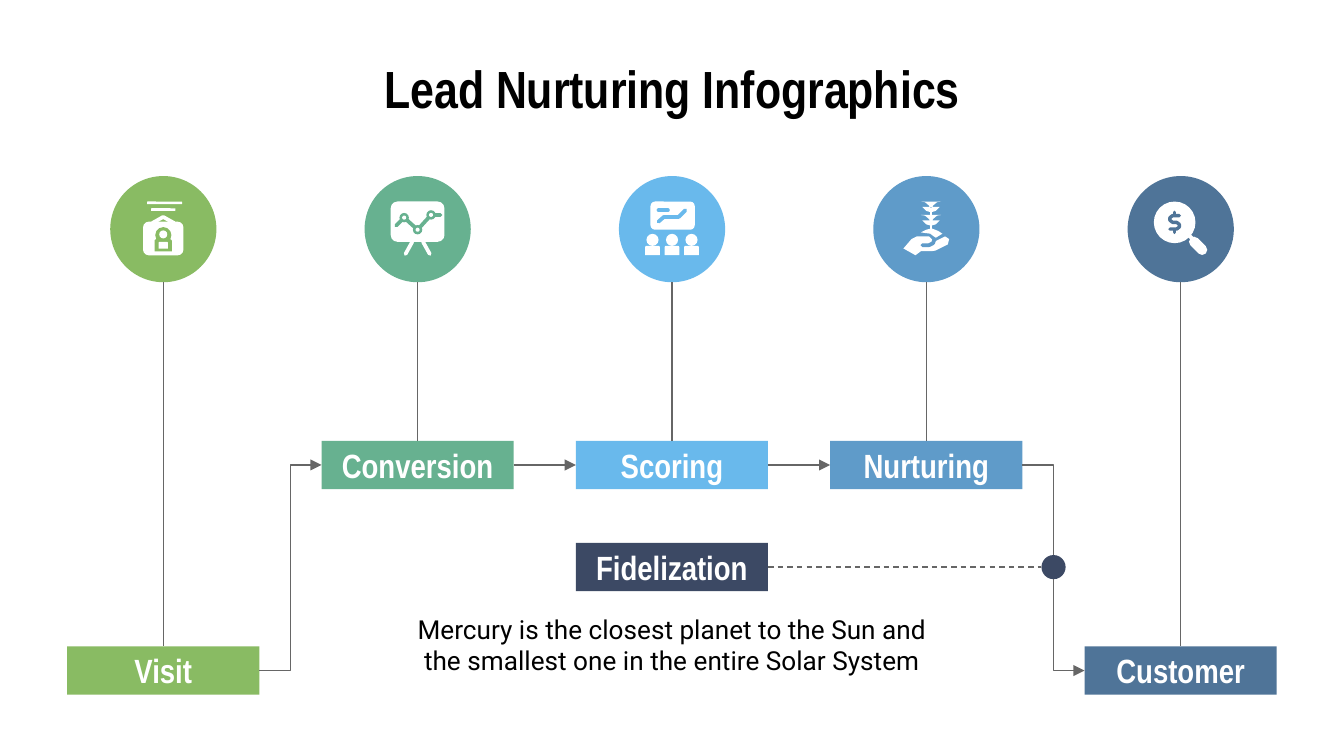
from dataclasses import dataclass

from lxml import etree
from pptx import Presentation
from pptx import util as u
from pptx.dml.color import RGBColor
from pptx.enum import dml, shapes, text
from pptx.oxml import ns

MSO = shapes.MSO_SHAPE
TOP, LEFT, BOTTOM, RIGHT = range(4)


@dataclass(frozen=True)
class Theme:
    """Colours, fonts and type sizes."""
    stages: tuple = ("89BB63", "67B190", "69B9EC", "5F9BC9", "4F7498")
    navy: str = "3C4964"
    line: str = "666666"
    white: str = "FFFFFF"
    black: str = "000000"
    head: str = "Arial Narrow"
    body: str = "Roboto"
    title_size: int = 28
    label_size: int = 18
    body_size: int = 14


@dataclass(frozen=True)
class Box:
    """A rectangle in inches."""
    x: float
    y: float
    w: float
    h: float

    def emu(self):
        """Return the four lengths for python-pptx."""
        return [u.Inches(v) for v in (self.x, self.y, self.w, self.h)]


T = Theme()
STAGES = ("Visit", "Conversion", "Scoring", "Nurturing", "Customer")
MARGIN, LABEL_W, LABEL_H, DISC, DOT = 0.5, 1.43, 0.36, 0.79, 0.18
PITCH = (10 - 2 * MARGIN - LABEL_W) / 4
ICON_ROW, FLOW_ROW, LOYAL_ROW, BASE_ROW = 1.31, 3.28, 4.04, 4.81

LEAF = ((-4, 0), (-1, 0.5), (2, 3), (3.5, 6), (3.5, 8), (0, 7), (-3, 4))
LEAF_PAIR = LEAF + tuple((7 - x, y) for x, y in reversed(LEAF))
NODES = ((-10, 12), (0, 21), (10, 10))

# Each part is kind, geometry in hundredths of an inch, then inked or cut out.
ICONS = (
    [(MSO.ROUNDED_RECTANGLE, (-12, 0, 26, 2), True),
     (MSO.ROUNDED_RECTANGLE, (-9, 5, 18, 2), True),
     (MSO.ROUNDED_RECTANGLE, (-15, 15, 30, 25), True),
     (2, ((-8, 16), (0, 11.5), (8, 16)), True),
     (MSO.OVAL, (-6, 19, 12, 12), False),
     (MSO.ROUND_2_SAME_RECTANGLE, (-6.5, 28, 13, 9), False),
     (MSO.OVAL, (-3, 21.5, 6, 6), True),
     (MSO.ROUND_2_SAME_RECTANGLE, (-3.5, 30, 7, 5), True)],
    [(MSO.ROUNDED_RECTANGLE, (-20, 0, 40, 30), True),
     *[(2, ((4 * s, 30), (9 * s, 39)), True) for s in (-1, 1)],
     (2, ((-16, 18), *NODES, (17, 10)), False),
     *[(MSO.OVAL, (x - 3.5, y - 3.5, 7, 7), False) for x, y in NODES],
     *[(MSO.OVAL, (x - 1.5, y - 1.5, 3, 3), True) for x, y in NODES]],
    [(MSO.ROUNDED_RECTANGLE, (-16, 0, 33, 21), True),
     (2, ((-10, 6.5), (-3, 6.5)), False),
     (2, ((-10, 15), (-6, 11.5), (5, 11.5), (10, 6.5)), False),
     *[(MSO.OVAL, (x - 4.5, 24, 9, 9), True) for x in (-14.5, 0, 14.5)],
     *[(MSO.ROUND_2_SAME_RECTANGLE, (x - 5.5, 33, 11, 7), True)
       for x in (-14.5, 0, 14.5)]],
    [(0, LEAF_PAIR, True),
     (0, [(x, y + 10) for x, y in LEAF_PAIR], True),
     (1.5, ((3.5, 5), (3.5, 22)), True),
     (0, ((-4, 23), (0, 21), (4, 20), (9, 22), (12, 24), (7, 27), (3, 24)), True),
     (0, ((-17, 35), (-11, 28), (-7, 26), (2, 26), (6, 30), (14, 26), (17, 28),
          (16, 32), (7, 36.5), (4, 37), (-4, 37), (-8, 40)), True),
     (2, ((-3, 32.5), (2, 32.5), (5, 31), (6, 28)), False)],
    [(MSO.OVAL, (-20, 0, 31, 31), True),
     (2, ((6, 25), (9, 28)), True),
     (5.5, ((10, 30), (16, 36)), True),
     (1.8, ((-1, 10.5), (-6, 10.5), (-8, 12), (-8, 14), (-6, 15.5), (-3, 15.5),
            (-1, 17), (-1, 19), (-3, 20.5), (-8, 20.5)), False),
     *[(1.8, ((-4.5, y), (-4.5, y + 2)), False) for y in (8, 21)]],
)


def rgb(value):
    """Turn a hex string into a colour."""
    return RGBColor.from_string(value)


def paint(sp, fill):
    """Give a shape a flat fill with no line or shadow."""
    sp.shadow.inherit = False
    sp.fill.solid()
    sp.fill.fore_color.rgb = rgb(fill)
    sp.line.fill.background()
    return sp


def add_solid(slide, kind, box, fill):
    """Add a flat preset shape."""
    return paint(slide.shapes.add_shape(kind, *box.emu()), fill)


def write(sp, words, font, size, colour, bold=False):
    """Put one centred paragraph in a shape."""
    tf = sp.text_frame
    tf.word_wrap = True
    tf.vertical_anchor = text.MSO_ANCHOR.MIDDLE
    tf.margin_left = tf.margin_right = tf.margin_top = tf.margin_bottom = u.Inches(0.1)
    p = tf.paragraphs[0]
    p.text = words
    p.alignment = text.PP_ALIGN.CENTER
    p.font.name, p.font.size, p.font.bold = font, u.Pt(size), bold
    p.font.color.rgb = rgb(colour)


def add_text(slide, box, words, *style):
    """Add a text box."""
    write(slide.shapes.add_textbox(*box.emu()), words, *style)


def add_label(slide, box, words, fill):
    """Add a coloured name plate."""
    sp = add_solid(slide, MSO.RECTANGLE, box, fill)
    write(sp, words, T.head, T.label_size, T.white, True)
    return sp


def add_path(slide, points, width, colour):
    """Add a filled outline, or an open stroke when a width is given."""
    start, *rest = [(u.Inches(x), u.Inches(y)) for x, y in points]
    builder = slide.shapes.build_freeform(*start, scale=1.0)
    builder.add_line_segments(rest, close=not width)
    sp = paint(builder.convert_to_shape(), colour)
    if width:
        sp.fill.background()
        sp.line.color.rgb = rgb(colour)
        sp.line.width = u.Pt(width)
        sp.line._get_or_add_ln().set("cap", "rnd")


def add_icon(slide, box, parts, fill):
    """Add a disc with its pictogram."""
    disc = add_solid(slide, MSO.OVAL, box, fill)
    cx, top = box.x + box.w / 2, box.y + box.h * 0.24
    for kind, geometry, inked in parts:
        colour = T.white if inked else fill
        if isinstance(kind, MSO):
            x, y, w, h = (v / 100 for v in geometry)
            add_solid(slide, kind, Box(cx + x, top + y, w, h), colour)
        else:
            points = [(cx + x / 100, top + y / 100) for x, y in geometry]
            add_path(slide, points, kind, colour)
    return disc


def side(sp, site):
    """Return the middle of one side of a shape."""
    fx, fy = ((0.5, 0), (0, 0.5), (0.5, 1), (1, 0.5))[site]
    return int(sp.left + sp.width * fx), int(sp.top + sp.height * fy)


def join(slide, begin, end, preset="line", arrow=None, dashed=False):
    """Connect the sides of two shapes."""
    kind = shapes.MSO_CONNECTOR.STRAIGHT if preset == "line" else shapes.MSO_CONNECTOR.ELBOW
    line = slide.shapes.add_connector(kind, *side(*begin), *side(*end))
    for (sp, site), connect in ((begin, line.begin_connect), (end, line.end_connect)):
        if sp.auto_shape_type == MSO.RECTANGLE:
            connect(sp, site)
    line.line.color.rgb = rgb(T.line)
    line.line.width = u.Pt(0.75)
    if dashed:
        line.line.dash_style = dml.MSO_LINE.DASH
    props = line._element.spPr
    props.find(ns.qn("a:prstGeom")).set("prst", preset)
    if arrow:
        etree.SubElement(line.line._get_or_add_ln(), ns.qn(f"a:{arrow}"), type="triangle")
    etree.SubElement(props, ns.qn("a:effectLst"))


def add_stage(slide, box, name, parts, fill):
    """Add a column with a disc, a stem and a label at its foot."""
    disc_box = Box(box.x + (box.w - DISC) / 2, box.y, DISC, DISC)
    disc = add_icon(slide, disc_box, parts, fill)
    foot = Box(box.x, box.y + box.h - LABEL_H, box.w, LABEL_H)
    label = add_label(slide, foot, name, fill)
    join(slide, (disc, BOTTOM), (label, TOP))
    return label


def add_loyalty(slide, box):
    """Add the side step and its explanation."""
    label = add_label(slide, Box(box.x + (box.w - LABEL_W) / 2, box.y, LABEL_W, LABEL_H),
                      "Fidelization", T.navy)
    add_text(slide, Box(box.x, box.y + 0.37, box.w, box.h - 0.37),
             "Mercury is the closest planet to the Sun and the smallest one "
             "in the entire Solar System", T.body, T.body_size, T.black)
    return label


def build_slide(slide):
    """Lay out the title, stages and flow."""
    add_text(slide, Box(MARGIN, 0.45, 10 - 2 * MARGIN, 0.41),
             "Lead Nurturing Infographics", T.head, T.title_size, T.black, True)
    labels = []
    for i, (name, parts, fill) in enumerate(zip(STAGES, ICONS, T.stages)):
        row = BASE_ROW if i in (0, 4) else FLOW_ROW
        box = Box(MARGIN + i * PITCH, ICON_ROW, LABEL_W, row + LABEL_H - ICON_ROW)
        labels.append(add_stage(slide, box, name, parts, fill))
    visit, conversion, scoring, nurturing, customer = labels
    loyalty = add_loyalty(slide, Box(2.93, LOYAL_ROW, 4.14, 1.14))
    gap_x = MARGIN + 3.5 * PITCH + LABEL_W / 2
    dot = add_solid(slide, MSO.OVAL, Box(gap_x - DOT / 2, LOYAL_ROW + (LABEL_H - DOT) / 2,
                                         DOT, DOT), T.navy)
    join(slide, (visit, RIGHT), (conversion, LEFT), "bentConnector3", "tailEnd")
    join(slide, (conversion, RIGHT), (scoring, LEFT), arrow="tailEnd")
    join(slide, (scoring, RIGHT), (nurturing, LEFT), arrow="tailEnd")
    join(slide, (nurturing, RIGHT), (dot, TOP), "bentConnector2")
    join(slide, (customer, LEFT), (dot, BOTTOM), "bentConnector2", "headEnd")
    join(slide, (loyalty, RIGHT), (dot, LEFT), dashed=True)


def main():
    """Build and save the deck."""
    prs = Presentation()
    prs.slide_width = u.Inches(10)
    prs.slide_height = u.Inches(10) * 9 // 16
    build_slide(prs.slides.add_slide(prs.slide_layouts[6]))
    prs.save("out.pptx")


if __name__ == "__main__":
    main()
